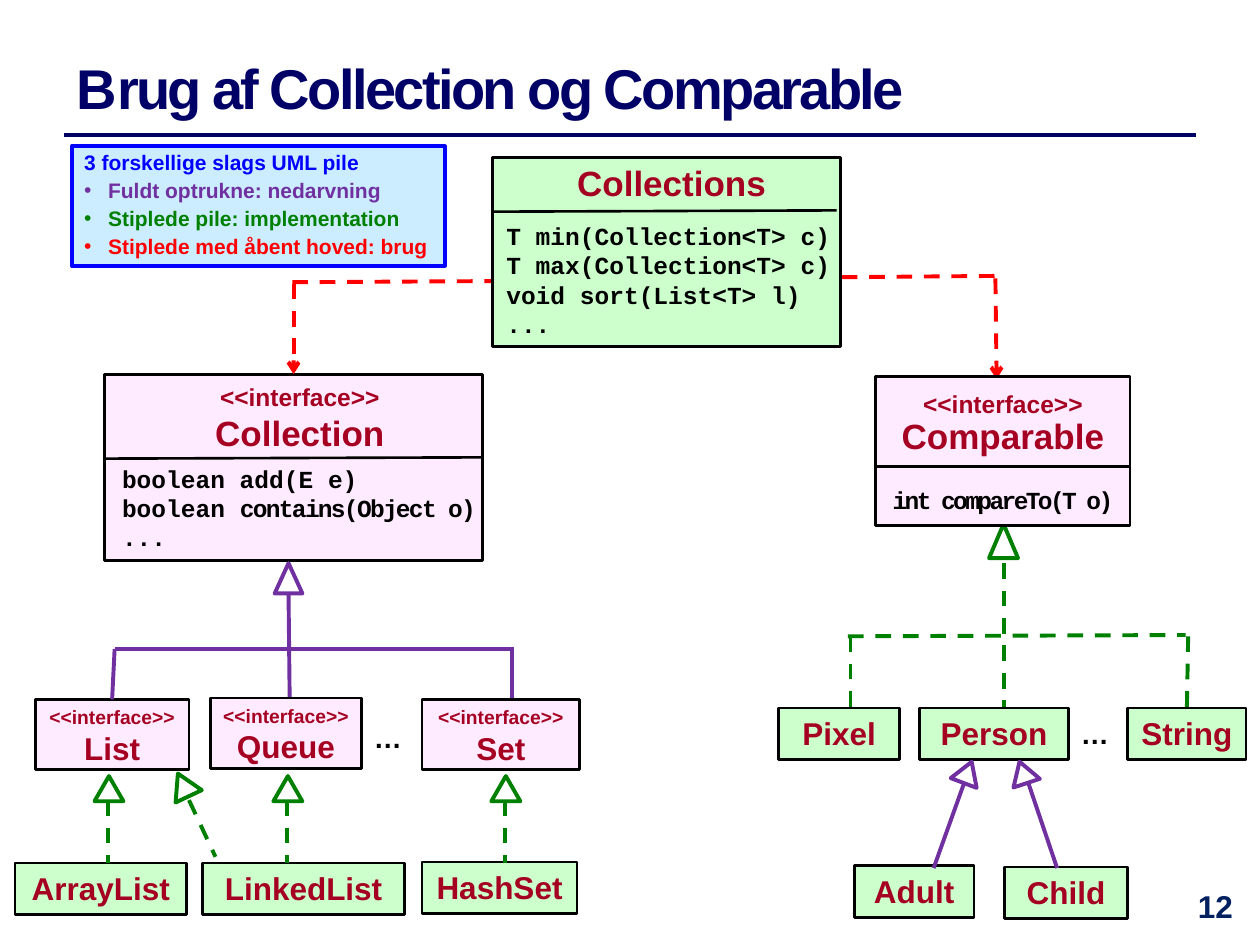
from dataclasses import dataclass

import pptx
import pptx.dml.color
import pptx.enum.dml
import pptx.enum.shapes
import pptx.enum.text
import pptx.oxml.ns
import pptx.util
from lxml import etree

PX = 9144  # EMU; 100 px to the inch
COLORS = {
    "navy": "000066", "page": "002060", "black": "000000", "name": "A50021",
    "class": "CCFFCC", "interface": "FFEBFF", "legend": "CCECFF",
    "blue": "0000FF", "purple": "7030A0", "green": "008000", "red": "FF0000",
}
ALIGN = pptx.enum.text.PP_ALIGN
ANCHOR = pptx.enum.text.MSO_ANCHOR
SHAPE = pptx.enum.shapes.MSO_SHAPE


@dataclass
class Line:
    """One paragraph; tight is its ending, set with its own letter spacing."""
    text: str
    size: int = 18
    color: str = "name"
    font: str = "Arial"
    align: ALIGN = ALIGN.CENTER
    before: float = 0
    leading: float = 1.0
    bullet: bool = False
    tight: str = ""
    spacing: float = 0


def code(text, **style):
    return Line(text, 14, "black", "Courier New", **{"align": ALIGN.LEFT, **style})


def rgb(name):
    return pptx.dml.color.RGBColor.from_string(COLORS[name])


def add_child(parent, tag, **attributes):
    return etree.SubElement(parent, pptx.oxml.ns.qn(tag), **attributes)


class Diagram:
    def __init__(self, page):
        self.page = page

    def fill_text(self, frame, lines, wrap=True, anchor=ANCHOR.TOP):
        frame.word_wrap = wrap
        frame.vertical_anchor = anchor
        frame.text = "\n".join(line.text for line in lines)
        for para, line in zip(frame.paragraphs, lines):
            para.alignment = line.align
            para.line_spacing = line.leading
            para.space_before = pptx.util.Pt(line.before)
            if line.bullet:
                properties = para._p.get_or_add_pPr()
                properties.set("marL", str(19 * PX))
                properties.set("indent", str(-19 * PX))
                add_child(properties, "a:buFont", typeface="Arial")
                add_child(properties, "a:buChar", char="•")
            if line.tight:
                span = para.add_run()
                span.text = line.tight
                span._r.get_or_add_rPr().set("spc", str(round(line.spacing * 100)))
            for span in para.runs:
                span.font.size = pptx.util.Pt(line.size)
                span.font.name = line.font
                span.font.bold = True
                span.font.color.rgb = rgb(line.color)

    def text(self, left, top, width, height, lines, **layout):
        box = self.page.shapes.add_textbox(left * PX, top * PX, width * PX, height * PX)
        self.fill_text(box.text_frame, lines, **layout)

    def shape(self, kind, left, top, width, height, line, weight, fill=None):
        shape = self.page.shapes.add_shape(
            kind, left * PX, top * PX, width * PX, height * PX)
        shape.shadow.inherit = False
        if fill:
            shape.fill.solid()
            shape.fill.fore_color.rgb = rgb(fill)
        else:
            shape.fill.background()
        shape.line.color.rgb = rgb(line)
        shape.line.width = pptx.util.Pt(weight)
        return shape

    def box(self, left, top, width, height, fill, lines=(), line="black",
            weight=1.5, wrap=False):
        box = self.shape(SHAPE.RECTANGLE, left, top, width, height, line, weight, fill)
        if lines:
            self.fill_text(box.text_frame, lines, wrap)
        return box

    def head(self, left, top, width, height, color, angle=0):
        """Hollow triangular arrowhead."""
        self.shape(SHAPE.ISOSCELES_TRIANGLE, left, top, width, height,
                   color, 2.25).rotation = angle

    def line(self, start, end, color, weight=2.25, dashed=False, arrow=False,
             onto=None):
        """Straight line; onto is the box whose top middle it ends at."""
        line = self.page.shapes.add_connector(
            pptx.enum.shapes.MSO_CONNECTOR.STRAIGHT,
            *(length * PX for length in (*start, *end)))
        if onto is not None:
            line.end_connect(onto, 0)
        line.line.color.rgb = rgb(color)
        line.line.width = pptx.util.Pt(weight)
        if dashed:
            line.line.dash_style = pptx.enum.dml.MSO_LINE.DASH
        if arrow:
            add_child(line.line._get_or_add_ln(), "a:tailEnd", type="arrow")
        add_child(line._element.spPr, "a:effectLst")


def draw_heading(diagram):
    diagram.line((51, 107), (949, 107), "navy", 2)
    diagram.text(51, 36, 937, 67, [Line(
        "B", 32, "navy", align=ALIGN.LEFT, spacing=-1.5,
        tight="rug af Collection og Comparable")], anchor=ANCHOR.MIDDLE)
    diagram.text(929, 699, 71, 50, [Line("12", color="page")])
    legend = [("Fuldt optrukne: nedarvning", "purple"),
              ("Stiplede pile: implementation", "green"),
              ("Stiplede med åbent hoved: brug", "red")]
    diagram.box(57, 116, 296, 95, "legend", [
        Line("3 forskellige slags UML pile", 12, "blue", align=ALIGN.LEFT, leading=0.9),
        *(Line(text, 12, color, align=ALIGN.LEFT, before=3, leading=0.9, bullet=True)
          for text, color in legend)], line="blue", weight=2.25, wrap=True)


def draw_comparable(diagram):
    diagram.line((668, 220), (792, 219), "red", dashed=True)
    diagram.line((790, 221), (791, 301), "red", dashed=True, arrow=True)
    diagram.head(785, 416, 23, 27, "green")
    diagram.line((797, 447), (797, 562), "green", dashed=True)
    diagram.line((673, 505), (941, 504), "green", dashed=True)
    diagram.line((675, 505), (675, 562), "green", dashed=True)

    diagram.box(695, 299, 202, 118, "interface")
    diagram.text(695, 304, 202, 105, [
        Line("<<interface>>", 14),
        Line("Comparable", 20, before=2.4, leading=0.8),
        code("", align=ALIGN.CENTER, before=16, tight="int compareTo(T o)",
             spacing=-1.5)], wrap=False)
    diagram.line((696, 370), (897, 370), "black", 1.5)

    classes = {name: diagram.box(left, top, width, 41, "class", [Line(name)])
               for name, left, top, width in [
                   ("Pixel", 618, 562, 96), ("Person", 730, 562, 118),
                   ("String", 895, 562, 94), ("Adult", 678, 687, 95),
                   ("Child", 797, 688, 98)]}
    diagram.line((943, 505), (943, 562), "green", dashed=True, onto=classes["String"])
    for left, angle, start, end in [(757, 20.7, (765, 622), (741, 689)),
                                    (801, 341.7, (816, 621), (839, 689))]:
        diagram.head(left, 604, 22, 18, "purple", angle)
        diagram.line(start, end, "purple")


def draw_collection(diagram):
    diagram.line((232, 224), (408, 223), "red", dashed=True)
    collection = diagram.box(83, 297, 300, 148, "interface")
    diagram.text(87, 298, 302, 146, [
        Line("<<interface>>", 14), Line("Collection", 20),
        code("boolean add(E e)", before=6),
        code("boolean ", tight="contains(Object o)", spacing=-1), code("...")])
    diagram.line((83, 364), (382, 363), "black", 1.5)
    diagram.line((233, 225), (231, 297), "red", dashed=True, arrow=True, onto=collection)

    diagram.head(218, 447, 22, 24, "purple")
    diagram.line((229, 470), (230, 564), "purple")
    diagram.line((91, 515), (408, 515), "purple")
    diagram.line((406, 515), (406, 570), "purple")
    interfaces = {name: diagram.box(left, top, width, 56, "interface",
                                    [Line("<<interface>>", 11), Line(name)])
                  for name, left, top, width in [
                      ("List", 28, 555, 122), ("Queue", 167, 554, 120),
                      ("Set", 335, 555, 125)]}
    diagram.line((91, 515), (91, 555), "purple", onto=interfaces["List"])

    for name, left, top, width in [("ArrayList", 12, 685, 136),
                                   ("LinkedList", 161, 685, 160),
                                   ("HashSet", 335, 684, 123)]:
        diagram.box(left, top, width, 41, "class", [Line(name)])
    for center in (86, 228, 401):
        diagram.line((center, 635), (center, 685), "green", dashed=True)
        diagram.head(center - 11, 616, 23, 20, "green")
    diagram.line((150, 635), (171, 680), "green", dashed=True)
    diagram.head(134, 613, 23, 20, "green", 334.7)


def draw_collections(diagram):
    diagram.box(391, 125, 276, 150, "class")
    diagram.text(392, 123, 282, 152, [
        Line("Collections", 20), code("T min(Collection<T> c)", before=10),
        code("T max(Collection<T> c)"), code("void sort(List<T> l)"), code("...")])
    diagram.line((390, 168), (664, 167), "black", 1.5)


def main():
    deck = pptx.Presentation()
    deck.slide_width, deck.slide_height = 1000 * PX, 750 * PX
    diagram = Diagram(deck.slides.add_slide(deck.slide_layouts[6]))
    draw_heading(diagram)
    draw_comparable(diagram)
    draw_collection(diagram)
    draw_collections(diagram)
    for left, top in [(848, 564), (287, 567)]:
        diagram.text(left, top, 50, 37, [Line("…", 16, "black", align=ALIGN.LEFT)])
    deck.save("out.pptx")


if __name__ == "__main__":
    main()
